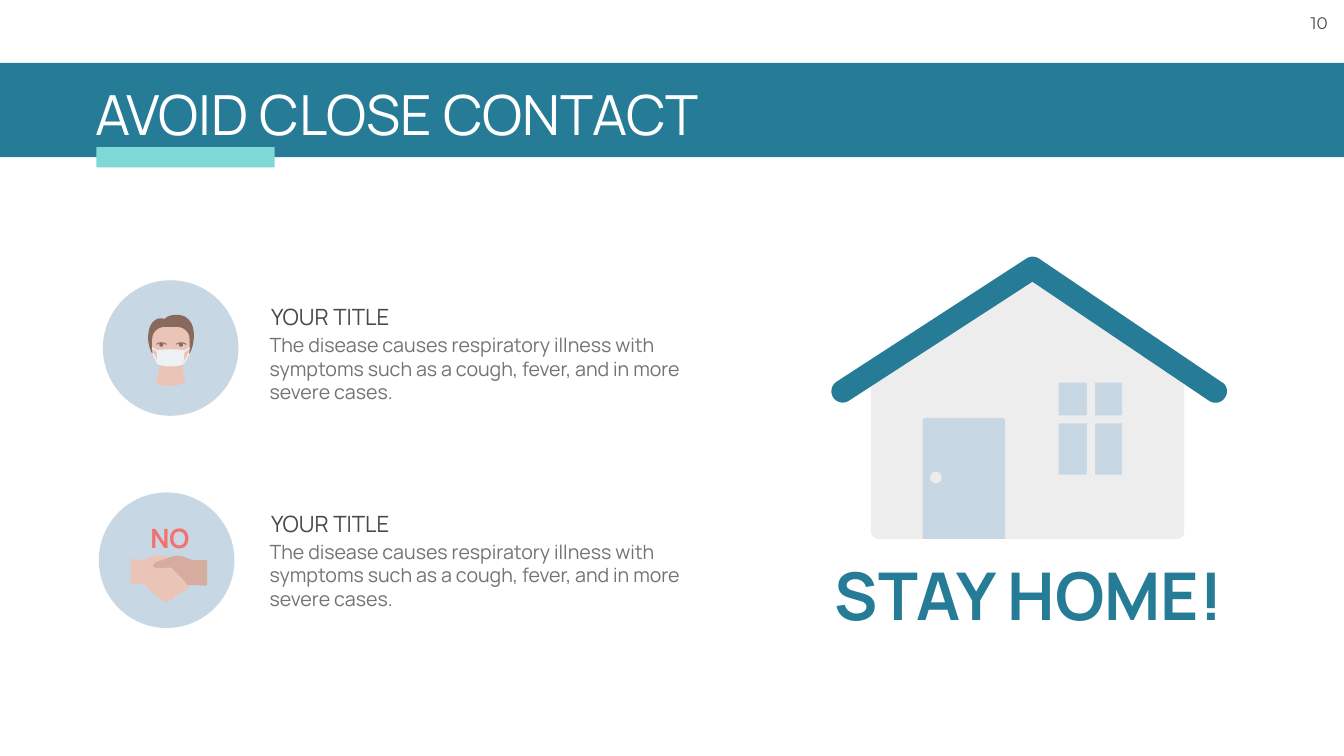
from dataclasses import dataclass

from lxml import etree
from pptx import Presentation
from pptx import util as u
from pptx.dml.color import RGBColor
from pptx.enum import shapes as sh, text as tx
from pptx.oxml.ns import qn


@dataclass(frozen=True)
class Theme:
    teal: str = "267B96"
    mint: str = "7ED9D6"
    pale: str = "C7D8E4"
    wall: str = "EDEDEE"
    mask: str = "EEF2F4"
    skin: str = "EAC5B7"
    shade: str = "D6AC9F"
    hair: str = "89695C"
    red: str = "F27171"
    white: str = "FFFFFF"
    dark: str = "494949"
    gray: str = "737373"
    font: str = "Manrope"
    digit: str = "Montserrat"
    title: int = 79
    slogan: int = 94
    sign: int = 38
    head: int = 32
    body: int = 28
    page: int = 24


T = Theme()
KIND = sh.MSO_SHAPE
GRID = 2.54  # one layout unit in centimetres


def size(n):
    return u.Cm(n * GRID)


def paint(shape, color):
    shape.shadow.inherit = False
    shape.fill.solid()
    shape.fill.fore_color.rgb = RGBColor.from_string(color)
    shape.line.fill.background()
    return shape


def block(parts, kind, x, y, w, h, color):
    return paint(parts.add_shape(kind, size(x), size(y), size(w), size(h)), color)


def curve(start, ends, steps=10):
    """Points along a cubic curve after its start."""
    (ax, ay), (bx, by, cx, cy, dx, dy) = start, ends
    for i in range(1, steps + 1):
        t = i / steps
        s = 1 - t
        k = s ** 3, 3 * s * s * t, 3 * s * t * t, t ** 3
        yield (k[0] * ax + k[1] * bx + k[2] * cx + k[3] * dx,
               k[0] * ay + k[1] * by + k[2] * cy + k[3] * dy)


def draw(parts, x, y, path, color):
    """Closed outline: a pair is a corner, six numbers are a curve."""
    dots = [path[0]]
    for step in path[1:]:
        dots.extend([step] if len(step) == 2 else curve(dots[-1], step))
    dots = [(size(x + px), size(y + py)) for px, py in dots]
    pen = parts.build_freeform(*dots[0], scale=1.0)
    pen.add_line_segments(dots[1:], close=True)
    return paint(pen.convert_to_shape(), color)


def line(parts, x1, y1, x2, y2, color, width):
    rule = parts.add_connector(sh.MSO_CONNECTOR.STRAIGHT, *map(size, (x1, y1, x2, y2)))
    rule.line.color.rgb = RGBColor.from_string(color)
    rule.line.width = u.Pt(width)
    etree.SubElement(rule.element.spPr, qn("a:effectLst"))


def write(shape, words, pt, color, font=T.font, bold=False, wrap=True,
          align=tx.PP_ALIGN.LEFT, anchor=tx.MSO_ANCHOR.TOP):
    frame = shape.text_frame
    frame.text = words
    frame.word_wrap = wrap
    frame.auto_size = tx.MSO_AUTO_SIZE.NONE
    frame.vertical_anchor = anchor
    para = frame.paragraphs[0]
    para.alignment = align
    face = para.runs[0].font
    face.name, face.size, face.bold = font, u.Pt(pt), bold
    face.color.rgb = RGBColor.from_string(color)


def label(parts, x, y, w, h, words, pt, color, **form):
    write(parts.add_textbox(*map(size, (x, y, w, h))), words, pt, color, **form)


def banner(slide, x, y, w, h):
    # Band and accent go behind the title
    title = slide.shapes.title
    for args in ((x, y, w, h, T.teal), (x + 1.91, y + 1.67, 3.54, 0.4, T.mint)):
        bar = block(slide.shapes, KIND.RECTANGLE, *args)
        title.element.addprevious(bar.element)
    title.left, title.top = size(x + 1.79), size(y + 0.3)
    title.width, title.height = size(13.14), size(1.43)
    write(title, "AVOID CLOSE CONTACT", T.title, T.white, wrap=False)


def house(parts, x, y):
    # Wall and roof
    draw(parts, x, y, [(7.54, 5.46), (7.54, 2.39), (4.53, 0.41), (1.33, 2.43),
                       (1.33, 5.46), (1.33, 5.54, 1.4, 5.6, 1.48, 5.6), (7.4, 5.6),
                       (7.48, 5.6, 7.54, 5.54, 7.54, 5.46)], T.wall)
    draw(parts, x, y, [(8.28, 2.49), (4.66, 0.04), (4.58, -0.01, 4.48, -0.01, 4.41, 0.04),
                       (0.65, 2.48), (0.54, 2.55, 0.51, 2.69, 0.58, 2.8),
                       (0.65, 2.9, 0.79, 2.93, 0.89, 2.86), (4.53, 0.5), (8.03, 2.86),
                       (8.13, 2.93, 8.27, 2.91, 8.34, 2.81),
                       (8.42, 2.71, 8.4, 2.57, 8.3, 2.5)], T.teal)
    # Door, window, window bars, knob
    door = block(parts, KIND.ROUND_2_SAME_RECTANGLE, x + 2.35, y + 3.2, 1.64, 2.4, T.pale)
    door.adjustments[0] = 0.04
    for dx, dy, w, h, color in ((5.05, 2.5, 1.26, 1.83, T.pale),
                                (5.61, 2.43, 0.16, 1.94, T.wall),
                                (4.97, 3.15, 1.4, 0.16, T.wall)):
        block(parts, KIND.RECTANGLE, x + dx, y + dy, w, h, color)
    block(parts, KIND.OVAL, x + 2.5, y + 4.27, 0.23, 0.23, T.wall)
    label(parts, x - 0.3, y + 5.95, 9.52, 1.5, "STAY HOME!", T.slogan, T.teal, bold=True,
          wrap=False, align=tx.PP_ALIGN.CENTER, anchor=tx.MSO_ANCHOR.MIDDLE)


def disc(parts, x, y):
    block(parts, KIND.OVAL, x, y, 2.69, 2.69, T.pale)


def person(parts, x, y):
    disc(parts, x, y)
    # Neck, hair, face
    draw(parts, x, y, [(1.63, 1.92), (1.56, 1.81, 1.59, 1.56, 1.59, 1.56), (1.12, 1.56),
                       (1.12, 1.56, 1.14, 1.82, 1.07, 1.93),
                       (1.04, 1.96, 1.05, 2.02, 1.09, 2.04),
                       (1.15, 2.08, 1.24, 2.1, 1.34, 2.1),
                       (1.47, 2.1, 1.55, 2.07, 1.6, 2.03),
                       (1.64, 2.01, 1.65, 1.96, 1.63, 1.92)], T.skin)
    draw(parts, x, y, [(1.41, 1.69), (1.3, 1.69), (1.07, 1.69, 0.84, 1.36, 0.91, 1.01),
                       (0.95, 0.79, 1.11, 0.72, 1.23, 0.77),
                       (1.26, 0.69, 1.52, 0.65, 1.64, 0.73),
                       (1.8, 0.83, 1.83, 1.03, 1.79, 1.26),
                       (1.76, 1.42, 1.64, 1.69, 1.41, 1.69)], T.hair)
    draw(parts, x, y, [(1.48, 0.93), (1.22, 0.93), (1.09, 0.93, 0.98, 1.04, 0.98, 1.17),
                       (0.98, 1.4), (0.98, 1.6, 1.15, 1.77, 1.35, 1.77),
                       (1.56, 1.77, 1.72, 1.6, 1.72, 1.4), (1.72, 1.17),
                       (1.72, 1.04, 1.61, 0.93, 1.48, 0.93)], T.skin)
    # Eyes
    for left in (x + 1.05, x + 1.44):
        draw(parts, left, y, [(0.01, 1.28), (0, 1.25, 0.11, 1.2, 0.21, 1.26),
                              (0.22, 1.27, 0.22, 1.28, 0.2, 1.28),
                              (0.11, 1.21, 0.02, 1.28, 0.01, 1.28)], T.hair)
        block(parts, KIND.OVAL, left + 0.07, y + 1.24, 0.08, 0.08, T.hair)
    # Mask straps, mirrored about the middle, and mask
    mid = x + 1.35
    for side in (-1, 1):
        for far, top, near, low in ((0.37, 1.34, 0.23, 1.44), (0.36, 1.45, 0.26, 1.65)):
            line(parts, mid + side * far, y + top, mid + side * near, y + low, T.mask, 2)
    draw(parts, x, y, [(1.6, 1.67), (1.51, 1.7, 1.43, 1.71, 1.34, 1.71),
                       (1.21, 1.71, 1.08, 1.67, 1.08, 1.67), (1.07, 1.39),
                       (1.16, 1.38, 1.25, 1.37, 1.34, 1.37),
                       (1.49, 1.37, 1.62, 1.39, 1.62, 1.39)], T.mask)


def shake(parts, x, y):
    disc(parts, x, y)
    # Back fingers, right hand, left hand, thumb
    draw(parts, x, y, [(0.91, 1.34), (0.91, 1.34, 1.11, 1.2, 1.27, 1.26),
                       (1.43, 1.31, 1.52, 1.36, 1.52, 1.36), (1.39, 1.55)], T.skin)
    draw(parts, x, y, [(2.14, 1.34), (2.09, 1.34, 1.87, 1.35, 1.85, 1.34),
                       (1.82, 1.33, 1.62, 1.23, 1.49, 1.26),
                       (1.27, 1.32, 0.97, 1.48, 0.96, 1.52),
                       (0.94, 1.57, 1.37, 2.09, 1.42, 2.05),
                       (1.47, 2, 1.62, 1.98, 1.75, 1.85),
                       (1.8, 1.83, 2.08, 1.85, 2.13, 1.85), (2.15, 1.83), (2.15, 1.35)], T.shade)
    draw(parts, x, y, [(1.77, 1.85), (1.75, 1.8, 1.32, 1.37, 1.21, 1.29),
                       (1.11, 1.21, 0.92, 1.33, 0.89, 1.34),
                       (0.87, 1.35, 0.7, 1.32, 0.65, 1.32), (0.63, 1.34), (0.63, 1.81),
                       (0.65, 1.83), (0.69, 1.82, 0.84, 1.8, 0.89, 1.81),
                       (1.01, 1.96, 1.18, 2.08, 1.23, 2.12),
                       (1.27, 2.17, 1.34, 2.18, 1.37, 2.17),
                       (1.39, 2.15, 1.4, 2.14, 1.4, 2.11),
                       (1.41, 2.12, 1.46, 2.14, 1.5, 2.11), (1.52, 2.03),
                       (1.52, 2.03, 1.59, 2.06, 1.63, 2.02), (1.65, 1.94),
                       (1.75, 1.98, 1.79, 1.9, 1.77, 1.85)], T.skin)
    draw(parts, x, y, [(1.41, 1.31), (1.39, 1.31, 1.05, 1.37, 1.08, 1.46),
                       (1.1, 1.55, 1.43, 1.46, 1.55, 1.5),
                       (1.68, 1.55, 1.41, 1.31, 1.41, 1.31)], T.shade)
    label(parts, x + 0.81, y + 0.5, 1.2, 0.8, "NO", T.sign, T.red, bold=True,
          wrap=False, align=tx.PP_ALIGN.CENTER, anchor=tx.MSO_ANCHOR.MIDDLE)


def topic(parts, x, y):
    label(parts, x + 0.03, y, 5.35, 0.64, "YOUR TITLE", T.head, T.dark)
    label(parts, x, y + 0.59, 8.61, 1.51, "The disease causes respiratory illness with "
          "symptoms such as a cough, fever, and in more severe cases.", T.body, T.gray)


def main():
    deck = Presentation()
    deck.slide_width, deck.slide_height = size(26.66), size(15)
    slide = deck.slides.add_slide(deck.slide_layouts[5])
    label(slide.shapes, 25.85, 0.21, 0.64, 0.5, "10", T.page, T.dark, font=T.digit,
          wrap=False, align=tx.PP_ALIGN.CENTER)
    banner(slide, 0, 1.25, 26.66, 1.87)
    for part, x, y in ((house, 15.95, 5.09), (person, 2.04, 5.56), (shake, 1.96, 9.77)):
        part(slide.shapes.add_group_shape().shapes, x, y)
    for row in range(2):
        topic(slide.shapes, 5.25, 5.97 + row * 4.1)
    deck.save("out.pptx")


if __name__ == "__main__":
    main()
